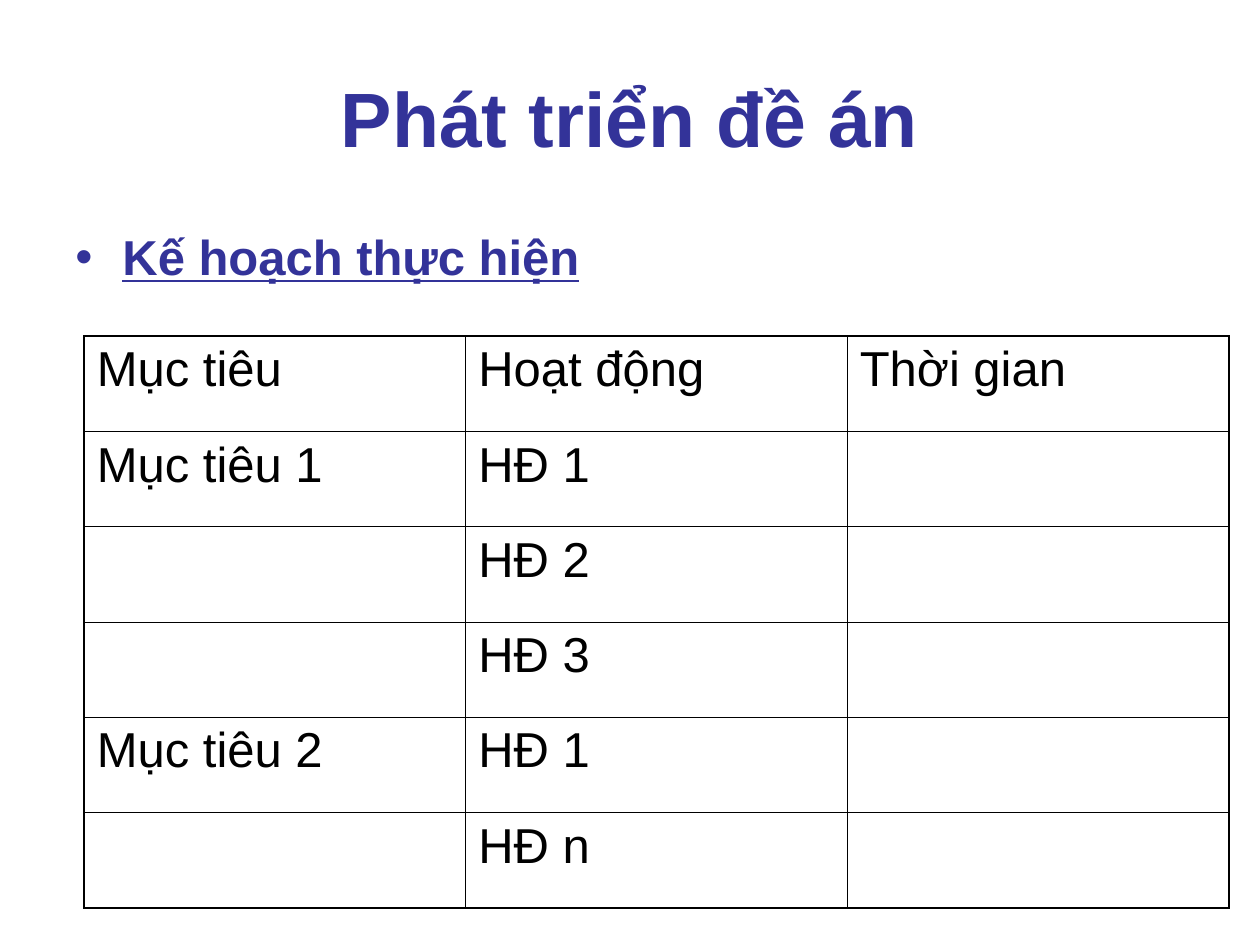
from lxml.etree import SubElement
from pptx import Presentation
from pptx.dml.color import RGBColor
from pptx.enum.text import MSO_ANCHOR as Anchor, PP_ALIGN as Align
from pptx.oxml.ns import qn
from pptx.util import Cm, Pt

TITLE = "Phát triển đề án"
HEADING = "Kế hoạch thực hiện"
PLAN = [
    ("Mục tiêu", "Hoạt động", "Thời gian"),
    ("Mục tiêu 1", "HĐ 1", ""),
    ("", "HĐ 2", ""),
    ("", "HĐ 3", ""),
    ("Mục tiêu 2", "HĐ 1", ""),
    ("", "HĐ n", ""),
]
COLORS = {"heading": "333399", "text": "000000", "border": "000000"}
FONT = "Arial"
OUTER, INNER = Pt(1.08), Pt(0.45)
COLUMN_WIDTH, ROW_HEIGHT = Cm(7.69), Cm(1.92)


def write(frame, text, size=28, color="text", bold=False, underline=False,
          align=Align.LEFT, bullet=None, indent=Cm(0.95)):
    para = frame.paragraphs[0]
    para.alignment = align
    if bullet:
        props = para._p.get_or_add_pPr()
        props.set("marL", str(indent))
        props.set("indent", str(-indent))
        SubElement(props, qn("a:buFont"), typeface=FONT)
        SubElement(props, qn("a:buChar"), char=bullet)
    span = para.add_run()
    span.text = text
    font = span.font
    font.name, font.size = FONT, Pt(size)
    font.bold, font.underline = bold, underline
    font.color.rgb = RGBColor.from_string(COLORS[color])


def add_text(page, text, left, top, width, height, anchor=Anchor.TOP, **style):
    box = page.shapes.add_textbox(Cm(left), Cm(top), Cm(width), Cm(height))
    frame = box.text_frame
    frame.word_wrap = True
    frame.vertical_anchor = anchor
    write(frame, text, **style)


def set_borders(cell, widths):
    """Draw the cell borders from a dict of side letter to line width."""
    props = cell._tc.get_or_add_tcPr()
    for side, width in widths.items():
        line = SubElement(props, qn(f"a:ln{side}"), w=str(width))
        fill = SubElement(line, qn("a:solidFill"))
        SubElement(fill, qn("a:srgbClr"), val=COLORS["border"])


def add_plan(page, left, top):
    rows, columns = len(PLAN), len(PLAN[0])
    table = page.shapes.add_table(rows, columns, Cm(left), Cm(top),
                                  COLUMN_WIDTH * columns, ROW_HEIGHT * rows).table
    table.first_row = table.horz_banding = False
    for r, texts in enumerate(PLAN):
        for c, text in enumerate(texts):
            cell = table.cell(r, c)
            set_borders(cell, {
                "L": OUTER if c == 0 else INNER,
                "R": OUTER if c == columns - 1 else INNER,
                "T": OUTER if r == 0 else INNER,
                "B": OUTER if r == rows - 1 else INNER,
            })
            cell.fill.background()
            if text:
                write(cell.text_frame, text)


def main():
    deck = Presentation()
    deck.slide_width, deck.slide_height = Cm(25.4), Cm(19.05)
    page = deck.slides.add_slide(deck.slide_layouts[6])
    add_text(page, TITLE, 1.27, 0.76, 22.86, 3.18, anchor=Anchor.MIDDLE,
             size=44, color="heading", bold=True, align=Align.CENTER)
    add_text(page, HEADING, 1.27, 4.45, 11.23, 1.7, color="heading",
             bold=True, underline=True, bullet="•")
    add_plan(page, 1.7, 6.78)
    deck.save("out.pptx")


if __name__ == "__main__":
    main()
